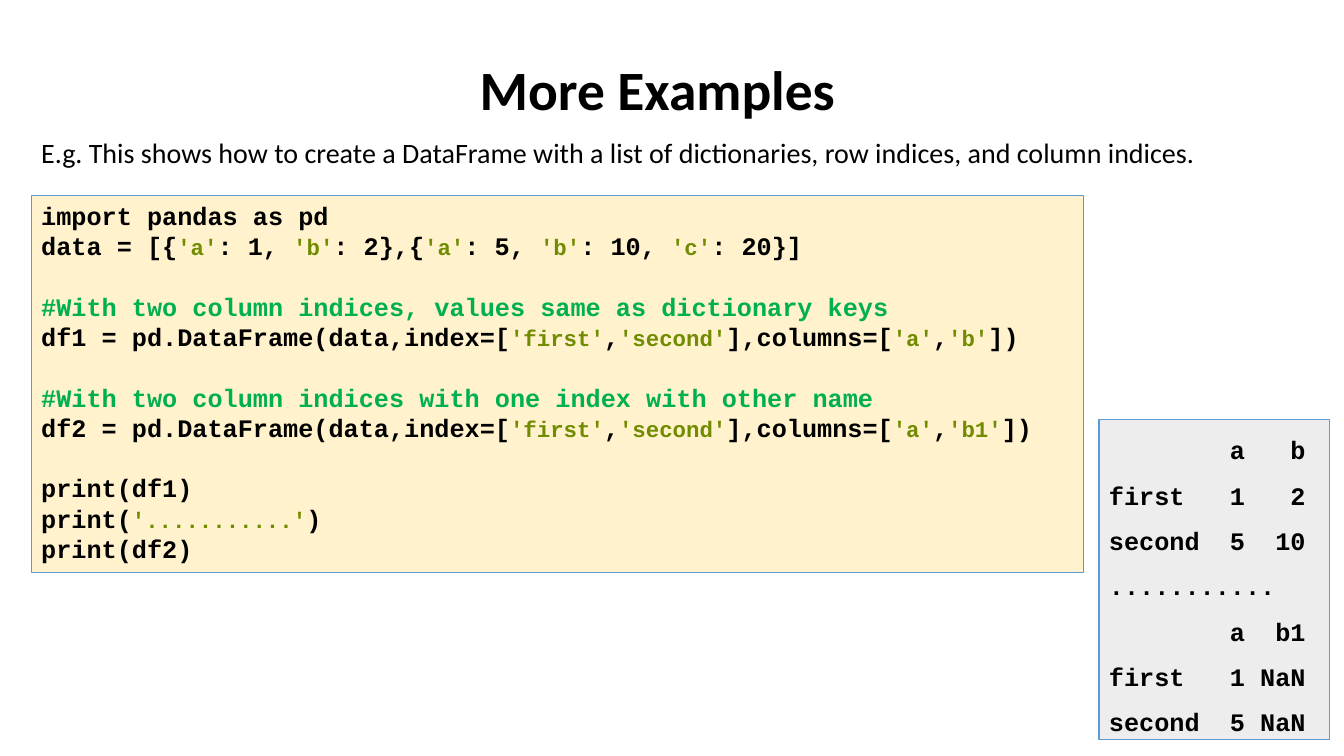
from lxml.etree import SubElement
from pptx import Presentation
from pptx.dml.color import RGBColor
from pptx.enum.shapes import MSO_SHAPE
from pptx.enum.text import MSO_ANCHOR, PP_ALIGN
from pptx.oxml.ns import qn
from pptx.util import Inches, Pt

WIDTH, HEIGHT = Inches(13.33), Inches(7.5)
COLORS = {
    "text": "000000",
    "string": "718C00",
    "comment": "00B050",
    "code fill": "FFF2CC",
    "output fill": "EDEDED",
    "border": "5B9BD5",
}
BLANK_LINE = Pt(21.6)
TAB_STOPS = (Inches(1.35), Inches(1.95))

# Each block of code is set apart by one line of space
CODE_BLOCKS = [
    ["import pandas as pd",
     "data = [{'a': 1, 'b': 2},{'a': 5, 'b': 10, 'c': 20}]"],
    ["#With two column indices, values same as dictionary keys",
     "df1 = pd.DataFrame(data,index=['first','second'],columns=['a','b'])"],
    ["#With two column indices with one index with other name",
     "df2 = pd.DataFrame(data,index=['first','second'],columns=['a','b1'])"],
    ["print(df1)", "print('...........')", "print(df2)"],
]
OUTPUT_ROWS = [
    ("", "a", "b"),
    ("first", "1", "2"),
    ("second", "5", "10"),
    ("...........",),
    ("", "a", "b1"),
    ("first", "1", "NaN"),
    ("second", "5", "NaN"),
]


def rgb(name):
    return RGBColor.from_string(COLORS[name])


def place(left, top, width, height):
    """Turn percentages of the slide into lengths."""
    return (int(WIDTH * left / 100), int(HEIGHT * top / 100),
            int(WIDTH * width / 100), int(HEIGHT * height / 100))


def set_font(font, size, color="text", name="Courier New", bold=True):
    font.name, font.size, font.bold = name, Pt(size), bold
    font.color.rgb = rgb(color)


def add_label(page, area, text, size, bold=False, align=PP_ALIGN.LEFT,
              anchor=MSO_ANCHOR.TOP):
    frame = page.shapes.add_textbox(*place(*area)).text_frame
    frame.word_wrap = True
    frame.vertical_anchor = anchor
    para = frame.paragraphs[0]
    para.text = text
    para.alignment = align
    set_font(para.font, size, name="Calibri", bold=bold)
    return para


def add_panel(page, area, fill):
    box = page.shapes.add_shape(MSO_SHAPE.RECTANGLE, *place(*area))
    box.shadow.inherit = False
    box.fill.solid()
    box.fill.fore_color.rgb = rgb(fill)
    box.line.color.rgb = rgb("border")
    box.line.width = Pt(0.75)
    box.text_frame.word_wrap = True
    box.text_frame.vertical_anchor = MSO_ANCHOR.TOP
    return box.text_frame


def add_line(frame, is_first):
    para = frame.paragraphs[0] if is_first else frame.add_paragraph()
    para.alignment = PP_ALIGN.LEFT
    return para


def write_code_line(para, line):
    """Write one line of code, with quoted strings smaller and green."""
    if line.startswith("#") or "'" not in line:
        para.text = line
        set_font(para.font, 18, "comment" if line.startswith("#") else "text")
        return
    for number, part in enumerate(line.split("'")):
        span = para.add_run()
        if number % 2:
            span.text = f"'{part}'"
            set_font(span.font, 16, "string")
        else:
            span.text = part
            set_font(span.font, 18)


def add_code(page, area, blocks):
    frame = add_panel(page, area, "code fill")
    for block_number, block in enumerate(blocks):
        for line_number, line in enumerate(block):
            para = add_line(frame, block_number == line_number == 0)
            if block_number and line_number == 0:
                para.space_before = BLANK_LINE
            write_code_line(para, line)


def add_output(page, area, rows):
    frame = add_panel(page, area, "output fill")
    frame.margin_left = Inches(0.1)
    frame.margin_top = frame.margin_right = frame.margin_bottom = 0
    for number, row in enumerate(rows):
        para = add_line(frame, number == 0)
        para.line_spacing = 1.5
        # Right-aligned tab stops hold the data columns
        tabs = SubElement(para._p.get_or_add_pPr(), qn("a:tabLst"))
        for stop in TAB_STOPS:
            SubElement(tabs, qn("a:tab"), pos=str(stop), algn="r")
        para.text = "\t".join(row)
        set_font(para.font, 18)


def main():
    deck = Presentation()
    deck.slide_width, deck.slide_height = WIDTH, HEIGHT
    page = deck.slides.add_slide(deck.slide_layouts[6])

    # Title and introduction
    title = add_label(page, (5.78, 7.07, 86.27, 10.4), "More Examples", 39.6,
                      True, PP_ALIGN.CENTER, MSO_ANCHOR.MIDDLE)
    title.line_spacing = 0.9
    add_label(page, (2.33, 17.33, 96.62, 5.87),
              "E.g. This shows how to create a DataFrame with a list of "
              "dictionaries, row indices, and column indices.", 20)

    # Program and what it prints
    add_code(page, (2.33, 25.87, 78.32, 49.87), CODE_BLOCKS)
    add_output(page, (81.77, 55.47, 17.18, 42.4), OUTPUT_ROWS)

    deck.save("out.pptx")


if __name__ == "__main__":
    main()
